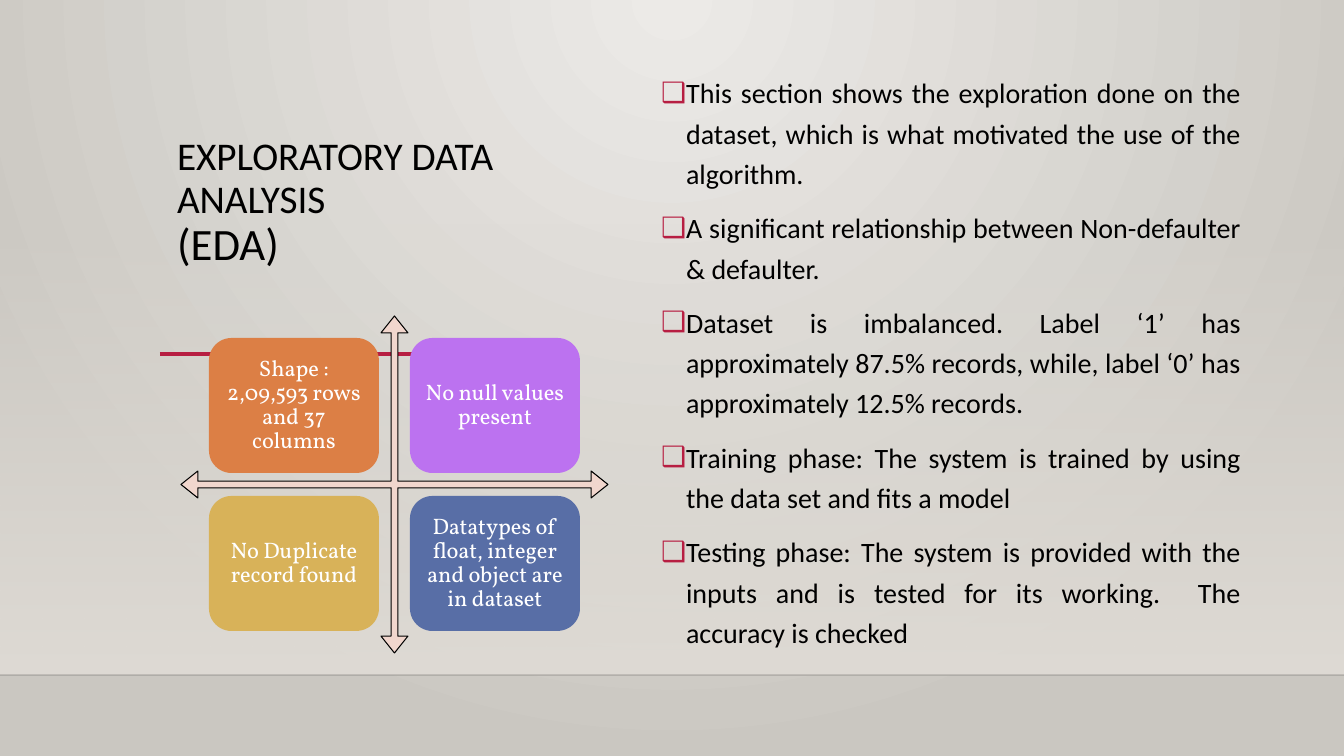
from lxml.etree import SubElement
from pptx import Presentation
from pptx.dml.color import RGBColor
from pptx.enum.shapes import MSO_CONNECTOR, MSO_SHAPE
from pptx.enum.text import MSO_ANCHOR, MSO_AUTO_SIZE, PP_ALIGN
from pptx.oxml.ns import qn
from pptx.util import Emu, Pt

THEME = {
    "bg_light": "ECEAE7", "bg_dark": "CAC7C1", "wall": "DFDBD5",
    "edge": "000001", "accent": "B71E42", "text": "000000",
    "arrow": "F1D6CD", "card_text": "FFFFFF",
    "cards": ["DC7F45", "BC72F0", "D8B259", "586EA6"],
    "font": "Calibri", "card_font": "Vollkorn",
    "title": 28, "subtitle": 32, "body": 20, "card": 16,
}
FINDINGS = [
    "This section shows the exploration done on the dataset, which is what motivated the use of the algorithm.",
    "A significant relationship between Non-defaulter & defaulter.",
    "Dataset is imbalanced. Label ‘1’ has approximately 87.5% records, while, label ‘0’ has approximately 12.5% records.",
    "Training phase: The system is trained by using the data set and fits a model",
    "Testing phase: The system is provided with the inputs and is tested for its working.  The accuracy is checked",
]
CARDS = [
    "Shape : 2,09,593 rows and 37 columns",
    "No\u00a0null values present",
    "No Duplicate record found",
    "Datatypes of float, integer and object are in dataset",
]


def px(n):
    return Emu(round(n * 914400 / 100.8))


def style(font, name, size, color):
    font.name = THEME[name]
    font.size = Pt(THEME[size])
    font.color.rgb = RGBColor.from_string(THEME[color])


prs = Presentation()
prs.slide_width, prs.slide_height = px(1344), px(756)
s = prs.slides.add_slide(prs.slide_layouts[1])

fill = s.background.fill
fill.gradient()
for stop, name in zip(fill.gradient_stops, ["bg_light", "bg_dark"]):
    stop.color.rgb = RGBColor.from_string(THEME[name])
grad = s.element.find(".//" + qn("a:gradFill"))
grad.remove(grad.find(qn("a:lin")))
radial = SubElement(grad, qn("a:path"), path="circle")
SubElement(radial, qn("a:fillToRect"), l="43000", t="0", r="43000", b="100000")

wall = s.shapes.add_shape(MSO_SHAPE.RECTANGLE, 0, px(223), px(1344), px(452))
wall.shadow.inherit = False
wall.line.fill.background()
wall.fill.gradient()
wall.fill.gradient_angle = 270
for stop in wall.fill.gradient_stops:
    stop.color.rgb = RGBColor.from_string(THEME["wall"])
SubElement(wall._element.find(".//" + qn("a:srgbClr")), qn("a:alpha"), val="0")

for x1, x2, y, color, width, alpha in [
    (0, 1344, 675, "edge", 1, 20),
    (160, 520, 354, "accent", 2.5, 100),
]:
    rule = s.shapes.add_connector(MSO_CONNECTOR.STRAIGHT, px(x1), px(y), px(x2), px(y))
    rule.line.color.rgb = RGBColor.from_string(THEME[color])
    rule.line.width = Pt(width)
    SubElement(rule._element.find(".//" + qn("a:srgbClr")), qn("a:alpha"), val=str(alpha * 1000))
    SubElement(rule._element.spPr, qn("a:effectLst"))

title, body = s.shapes.title, s.placeholders[1]
for ph, box in [(title, (167, 76, 454, 199)), (body, (651, 69, 600, 605))]:
    ph.left, ph.top, ph.width, ph.height = map(px, box)
    ph.text_frame.auto_size = MSO_AUTO_SIZE.NONE
    ph.text_frame.word_wrap = True
    s.shapes.element.append(ph.element)

tf = title.text_frame
tf.vertical_anchor = MSO_ANCHOR.BOTTOM
tf.text = "EXPLORATORY DATA ANALYSIS\v(EDA)"
p = tf.paragraphs[0]
p.alignment = PP_ALIGN.LEFT
p.line_spacing = 0.9
for r, size in zip(p.runs, ["title", "subtitle"]):
    style(r.font, "font", size, "text")

tf = body.text_frame
tf.vertical_anchor = MSO_ANCHOR.TOP
tf.margin_top = 0
tf.text = "\n".join(FINDINGS)
for i, p in enumerate(tf.paragraphs):
    p.alignment = PP_ALIGN.JUSTIFY
    p.line_spacing = 1.2
    p.space_before = Pt(10 if i else 0)
    pPr = p._p.get_or_add_pPr()
    pPr.set("marL", str(px(25)))
    pPr.set("indent", str(-px(25)))
    SubElement(SubElement(pPr, qn("a:buClr")), qn("a:srgbClr"), val=THEME["accent"])
    SubElement(pPr, qn("a:buFont"), typeface=THEME["font"])
    SubElement(pPr, qn("a:buChar"), char="❑")
    style(p.runs[0].font, "font", "body", "text")

arrow = s.shapes.add_shape(MSO_SHAPE.QUAD_ARROW, px(181), px(316), px(427), px(337))
arrow.shadow.inherit = False
for i, value in enumerate([0.02, 0.04, 0.05]):
    arrow.adjustments[i] = value
arrow.fill.solid()
arrow.fill.fore_color.rgb = RGBColor.from_string(THEME["arrow"])
arrow.line.color.rgb = RGBColor.from_string(THEME["text"])
arrow.line.width = Pt(0.75)

for i, (text, color) in enumerate(zip(CARDS, THEME["cards"])):
    row, col = divmod(i, 2)
    card = s.shapes.add_shape(
        MSO_SHAPE.ROUNDED_RECTANGLE, px(209 + col * 201), px(338 + row * 158), px(170), px(135))
    card.shadow.inherit = False
    card.adjustments[0] = 0.167
    card.fill.solid()
    card.fill.fore_color.rgb = RGBColor.from_string(color)
    card.line.fill.background()
    tf = card.text_frame
    tf.word_wrap = True
    tf.vertical_anchor = MSO_ANCHOR.MIDDLE
    tf.margin_left = tf.margin_right = tf.margin_top = tf.margin_bottom = px(8)
    tf.text = text
    p = tf.paragraphs[0]
    p.alignment = PP_ALIGN.CENTER
    p.line_spacing = 0.9
    style(p.runs[0].font, "card_font", "card", "card_text")

prs.save("out.pptx")
